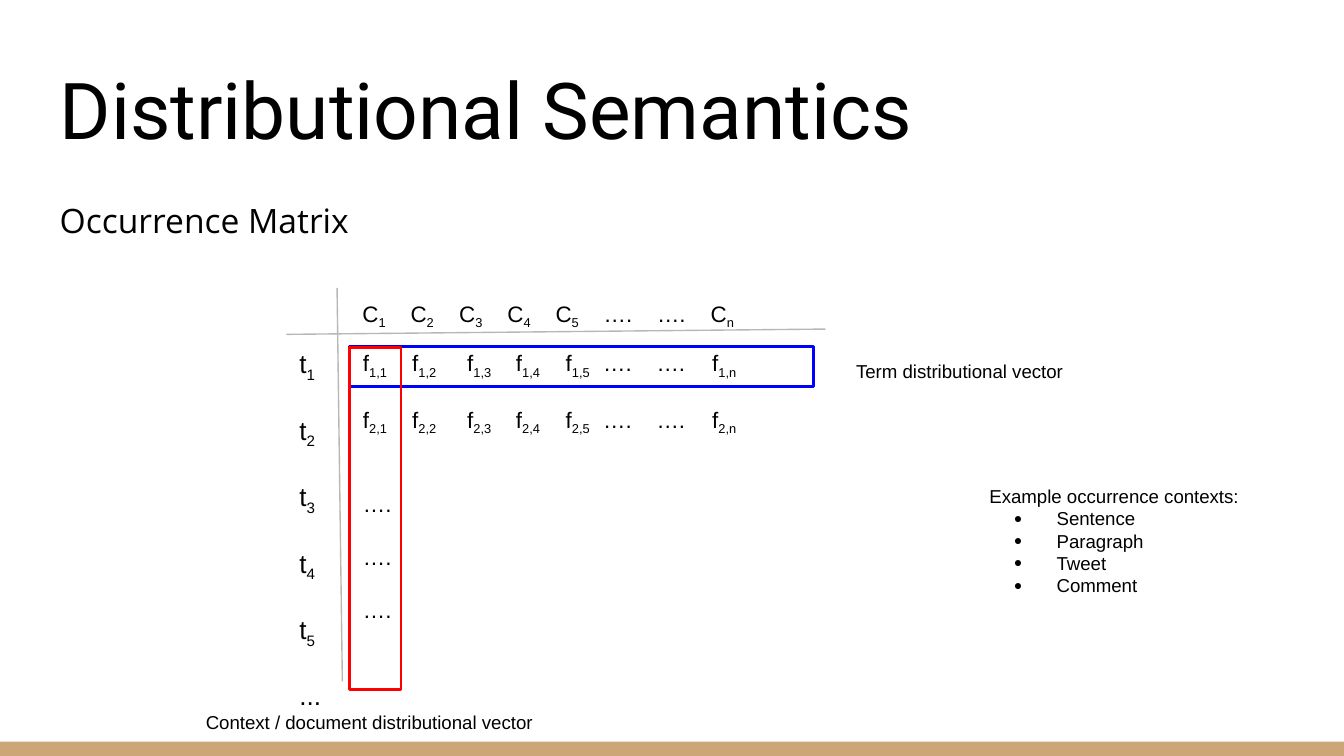
from lxml.etree import SubElement
from pptx import Presentation
from pptx.dml.color import RGBColor
from pptx.enum.shapes import MSO_CONNECTOR, MSO_SHAPE
from pptx.enum.text import MSO_ANCHOR, MSO_AUTO_SIZE, PP_ALIGN
from pptx.oxml.ns import qn
from pptx.util import Cm, Pt

TITLE = "Distributional Semantics"
SUBTITLE = "Occurrence Matrix"
DOTS = "…."

# An underscore marks the start of a subscript.
CONTEXTS = [f"C_{i}" for i in range(1, 6)] + [DOTS, DOTS, "C_n"]
TERMS = [[f"t_{i}"] for i in range(1, 6)] + [["..."]]
FREQUENCIES = [
    [f"f_{row},{i}" for i in range(1, 6)] + [DOTS, DOTS, f"f_{row},n"] for row in (1, 2)
] + [[DOTS]] * 3

# Column offsets from the first column, in cm
CONTEXT_STOPS = [0.91, 1.83, 2.74, 3.65, 4.56, 5.57, 6.58]
FREQUENCY_STOPS = [0.93, 1.97, 2.89, 3.83, 4.54, 5.55, 6.6]

ROW_LABEL = "Term distributional vector"
COLUMN_LABEL = "Context / document distributional vector"
EXAMPLES_HEADING = "Example occurrence contexts:"
EXAMPLES = ["Sentence", "Paragraph", "Tweet", "Comment"]

AXES = [(6.37, 5.44, 6.47, 12.88), (5.41, 6.32, 15.6, 6.22)]
HIGHLIGHTS = [((6.61, 6.55, 8.76, 0.76), "0000FF"), ((6.61, 6.57, 0.97, 6.47), "FF0000")]


def color(value):
    return RGBColor.from_string(value)


def set_insets(frame):
    frame.margin_left = frame.margin_right = Cm(0.25)
    frame.margin_top = frame.margin_bottom = Cm(0.25)
    frame.word_wrap = True


def add_run(paragraph, text, size, font="Arial", subscript=False):
    run = paragraph.add_run()
    run.text = text
    run.font.size = Pt(size)
    run.font.name = font
    run.font.color.rgb = color("000000")
    if subscript:
        run.font._element.set("baseline", "-25000")


def add_text_frame(slide, box):
    frame = slide.shapes.add_textbox(*map(Cm, box)).text_frame
    set_insets(frame)
    return frame


def add_paragraph(frame):
    first = frame.paragraphs[0]
    return frame.add_paragraph() if first.runs else first


def add_label(slide, box, text, size=10, font="Arial"):
    frame = add_text_frame(slide, box)
    add_run(frame.paragraphs[0], text, size, font)
    return frame


def add_tab_stops(paragraph, stops):
    tabs = SubElement(paragraph._p.get_or_add_pPr(), qn("a:tabLst"))
    for stop in stops:
        SubElement(tabs, qn("a:tab"), pos=str(Cm(stop)), algn="l")


def add_matrix_part(slide, box, rows, size, gaps, stops=()):
    """Write rows of subscripted entries, with a gap in points after each row."""
    frame = add_text_frame(slide, box)
    for entries, gap in zip(rows, gaps):
        paragraph = add_paragraph(frame)
        paragraph.space_after = Pt(gap)
        if len(entries) > 1:
            add_tab_stops(paragraph, stops)
        for column, entry in enumerate(entries):
            base, _, index = entry.partition("_")
            add_run(paragraph, "\t" + base if column else base, size)
            if index:
                add_run(paragraph, index, size, subscript=True)


def add_bullet(paragraph):
    properties = paragraph._p.get_or_add_pPr()
    properties.set("marL", str(Cm(1.27)))
    properties.set("indent", str(Cm(-0.81)))
    SubElement(SubElement(properties, qn("a:buClr")), qn("a:srgbClr"), val="000000")
    SubElement(properties, qn("a:buSzPct"), val="75000")
    SubElement(properties, qn("a:buFont"), typeface="Arial")
    SubElement(properties, qn("a:buChar"), char="●")


def add_rectangle(slide, box, fill=None, outline=None):
    rectangle = slide.shapes.add_shape(MSO_SHAPE.RECTANGLE, *map(Cm, box))
    rectangle.shadow.inherit = False
    if fill:
        rectangle.fill.solid()
        rectangle.fill.fore_color.rgb = color(fill)
    else:
        rectangle.fill.background()
    if outline:
        rectangle.line.color.rgb = color(outline)
        rectangle.line.width = Pt(1.5)
    else:
        rectangle.line.fill.background()


def add_axis(slide, ends):
    axis = slide.shapes.add_connector(MSO_CONNECTOR.STRAIGHT, *map(Cm, ends))
    axis.line.color.rgb = color("B7B7B7")
    axis.line.width = Pt(0.75)
    SubElement(axis._element.spPr, qn("a:effectLst"))


def add_title(slide):
    title = slide.shapes.title
    title.left, title.top, title.width, title.height = map(Cm, (0.88, 0.87, 23.67, 2.31))
    frame = title.text_frame
    set_insets(frame)
    frame.auto_size = MSO_AUTO_SIZE.NONE
    frame.vertical_anchor = MSO_ANCHOR.BOTTOM
    paragraph = frame.paragraphs[0]
    paragraph.alignment = PP_ALIGN.LEFT
    add_run(paragraph, TITLE, 42, "Roboto")


def main():
    presentation = Presentation()
    presentation.slide_width, presentation.slide_height = Cm(25.4), Cm(14.29)
    slide = presentation.slides.add_slide(presentation.slide_layouts[5])

    add_rectangle(slide, (0, 14.02, 25.4, 0.27), fill="CCA677")
    add_title(slide)
    subtitle = add_label(slide, (0.88, 3.42, 23.67, 9.32), SUBTITLE, 18, "Open Sans")
    subtitle.paragraphs[0].line_spacing = 1.15

    for ends in AXES:
        add_axis(slide, ends)
    add_matrix_part(slide, (6.6, 5.42, 14.22, 0.76), [CONTEXTS], 12, [0], CONTEXT_STOPS)
    add_matrix_part(slide, (5.41, 6.32, 0.97, 6.58), TERMS, 14, [16.5] * len(TERMS))
    add_matrix_part(slide, (6.61, 6.35, 14.22, 1.65), FREQUENCIES, 12,
                    [14, 29, 14, 14, 0], FREQUENCY_STOPS)
    for box, outline in HIGHLIGHTS:
        add_rectangle(slide, box, outline=outline)

    add_label(slide, (15.93, 6.58, 5.54, 0.89), ROW_LABEL)
    add_label(slide, (3.64, 13.22, 6.91, 0.76), COLUMN_LABEL)
    examples = add_label(slide, (18.45, 8.91, 6.22, 1.8), EXAMPLES_HEADING)
    for example in EXAMPLES:
        paragraph = add_paragraph(examples)
        add_bullet(paragraph)
        add_run(paragraph, example, 10)

    presentation.save("out.pptx")


if __name__ == "__main__":
    main()
